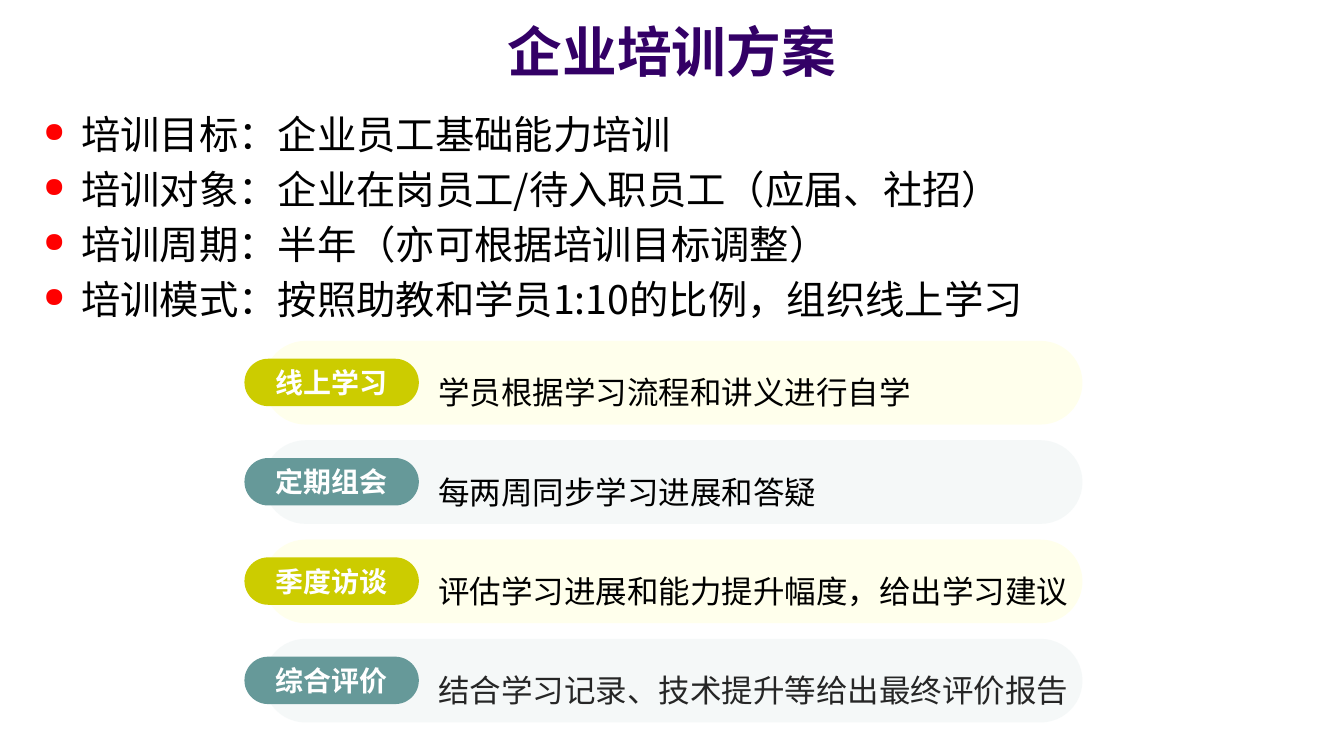
from lxml.etree import SubElement
from pptx import Presentation
from pptx.dml.color import RGBColor as RGB
from pptx.enum.shapes import MSO_SHAPE as SHAPE
from pptx.enum.text import MSO_ANCHOR as ANCHOR, MSO_AUTO_SIZE as FIT, PP_ALIGN as ALIGN
from pptx.oxml.ns import qn
from pptx.util import Cm, Pt

FONT = "Noto Sans CJK SC"
COLORS = {
    "title": "330066", "text": "000000", "soft": "262626", "white": "FFFFFF",
    "bullet": "FF0000", "lime": "CCCC00", "lime_pale": "FFFFC2",
    "teal": "669999", "teal_pale": "E0EBEB",
}
GOALS = [
    "培训目标：企业员工基础能力培训",
    "培训对象：企业在岗员工/待入职员工（应届、社招）",
    "培训周期：半年（亦可根据培训目标调整）",
    "培训模式：按照助教和学员1:10的比例，组织线上学习",
]
MODES = [
    ("线上学习", "学员根据学习流程和讲义进行自学", "lime", "text"),
    ("定期组会", "每两周同步学习进展和答疑", "teal", "text"),
    ("季度访谈", "评估学习进展和能力提升幅度，给出学习建议", "lime", "text"),
    ("综合评价", "结合学习记录、技术提升等给出最终评价报告", "teal", "soft"),
]


class Deck:
    """Holds the style and the current slide."""

    def __init__(self, width, height):
        """Open a deck with one title and content slide."""
        self.prs = Presentation()
        self.prs.slide_width, self.prs.slide_height = Cm(width), Cm(height)
        self.s = self.prs.slides.add_slide(self.prs.slide_layouts[1])

    def place(self, sp, x, y, w, h):
        """Move and size a shape."""
        sp.left, sp.top, sp.width, sp.height = Cm(x), Cm(y), Cm(w), Cm(h)

    def style(self, p, size, color, bold=False):
        """Format every run of a paragraph."""
        for r in p.runs:
            r.font.size, r.font.bold, r.font.name = Pt(size), bold, FONT
            r.font.color.rgb = RGB.from_string(COLORS[color])
            SubElement(r.font._element, qn("a:ea"), typeface=FONT)

    def frame(self, sp, anchor=ANCHOR.MIDDLE):
        """Return a wrapping text frame without vertical insets."""
        tf = sp.text_frame
        tf.word_wrap, tf.auto_size, tf.vertical_anchor = True, FIT.NONE, anchor
        tf.margin_top = tf.margin_bottom = 0
        return tf

    def title(self, text, *box):
        """Fill the title placeholder."""
        sp = self.s.shapes.title
        self.place(sp, *box)
        tf = self.frame(sp)
        tf.text = text
        tf.paragraphs[0].alignment = ALIGN.CENTER
        self.style(tf.paragraphs[0], 55.5, "title", True)

    def bullet(self, p):
        """Give a paragraph a red dot and a hanging indent."""
        pPr = p._p.get_or_add_pPr()
        pPr.set("marL", str(Cm(1.35)))
        pPr.set("indent", str(-Cm(1.35)))
        color = SubElement(pPr, qn("a:buClr"))
        SubElement(color, qn("a:srgbClr"), val=COLORS["bullet"])
        SubElement(pPr, qn("a:buSzPct"), val="70000")
        SubElement(pPr, qn("a:buFont"), typeface="OpenSymbol")
        SubElement(pPr, qn("a:buChar"), char="●")

    def body(self, lines, *box):
        """Fill the body placeholder with a bulleted list."""
        sp = self.s.placeholders[1]
        self.place(sp, *box)
        tf = self.frame(sp, ANCHOR.TOP)
        tf.text = "\n".join(lines)
        for p in tf.paragraphs:
            self.bullet(p)
            p.line_spacing, p.space_before = Pt(56), Pt(0)
            self.style(p, 40, "text")

    def pill(self, color, *box, alpha=None):
        """Add a fully rounded bar."""
        sp = self.s.shapes.add_shape(SHAPE.ROUNDED_RECTANGLE, *map(Cm, box))
        sp.adjustments[0] = 0.5
        sp.shadow.inherit = False
        sp.line.fill.background()
        sp.fill.solid()
        sp.fill.fore_color.rgb = RGB.from_string(COLORS[color])
        if alpha:
            clr = sp._element.spPr.find(".//" + qn("a:srgbClr"))
            SubElement(clr, qn("a:alpha"), val=str(alpha * 1000))
        return sp

    def label(self, sp, text, size, color, align, bold=False, spacing=1):
        """Write one line of text into a shape."""
        tf = self.frame(sp)
        tf.margin_left = tf.margin_right = 0
        tf.text = text
        p = tf.paragraphs[0]
        p.alignment, p.line_spacing = align, spacing
        self.style(p, size, color, bold)

    def mode(self, y, name, detail, hue, ink):
        """Add one training mode: pale bar, name tag and detail."""
        self.pill(hue + "_pale", 9.45, y, 29.34, 3, alpha=30)
        tag = self.pill(hue, 8.76, y + 0.64, 6.25, 1.7)
        self.label(tag, name, 28.4, "white", ALIGN.CENTER, True)
        sp = self.s.shapes.add_textbox(*map(Cm, (15.7, y, 22.91, 3)))
        self.label(sp, detail, 32, ink, ALIGN.LEFT, spacing=1.5)


def main():
    """Build the training plan slide."""
    deck = Deck(48.16, 27.1)
    deck.title("企业培训方案", 0, 0.48, 48.16, 2.64)
    deck.body(GOALS, 1.3, 3.66, 46.5, 22.43)
    for i, row in enumerate(MODES):
        deck.mode(12.22 + 3.56 * i, *row)
    deck.prs.save("out.pptx")


if __name__ == "__main__":
    main()
